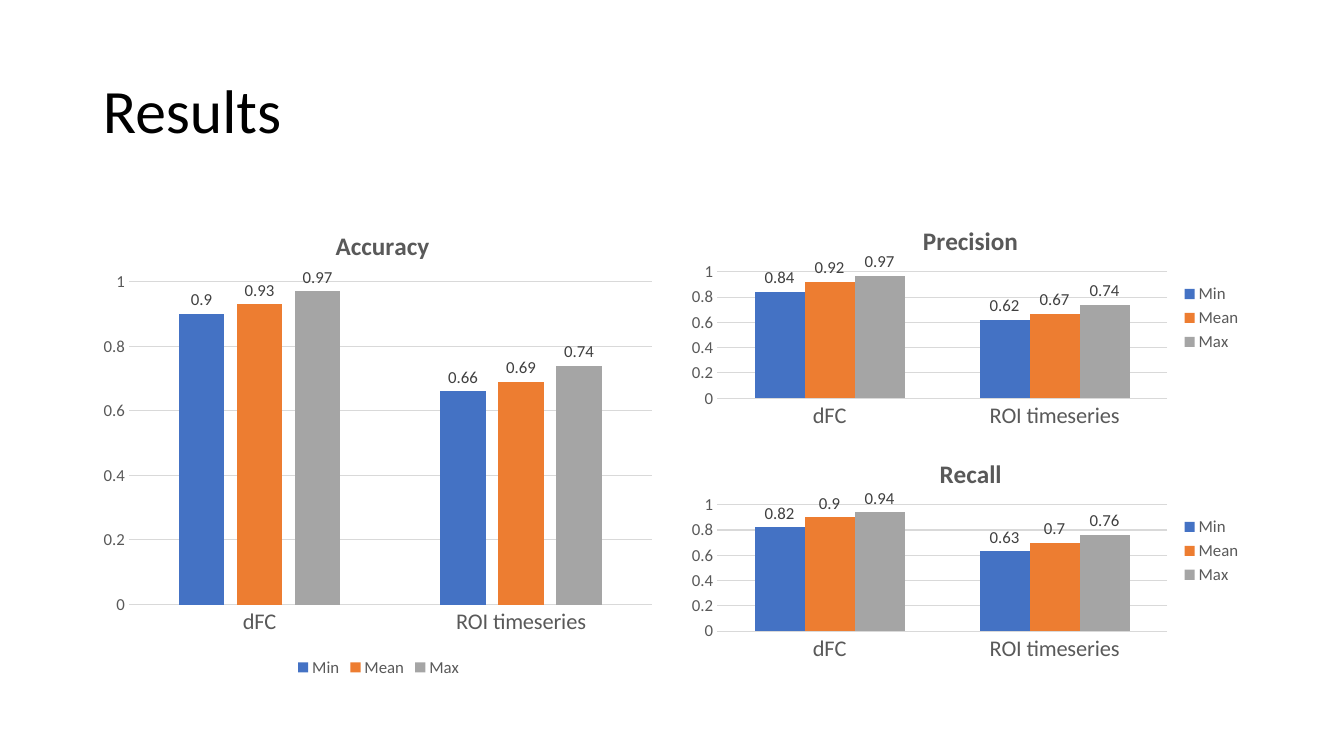
from lxml import etree
from pptx import Presentation
from pptx.chart.data import CategoryChartData
from pptx.dml.color import RGBColor
from pptx.enum.chart import (XL_CHART_TYPE, XL_LABEL_POSITION,
                             XL_LEGEND_POSITION, XL_TICK_MARK)
from pptx.enum.text import MSO_ANCHOR, PP_ALIGN
from pptx.oxml.ns import qn
from pptx.util import Inches, Pt

COLUMN_CLUSTERED = XL_CHART_TYPE.COLUMN_CLUSTERED
OUTSIDE_END = XL_LABEL_POSITION.OUTSIDE_END
LEGEND_BOTTOM = XL_LEGEND_POSITION.BOTTOM
LEGEND_RIGHT = XL_LEGEND_POSITION.RIGHT
NO_TICK = XL_TICK_MARK.NONE
MIDDLE = MSO_ANCHOR.MIDDLE
LEFT = PP_ALIGN.LEFT

FONT = "Calibri"
COLORS = {"title": "000000", "text": "595959", "label": "404040",
          "rule": "D9D9D9", "Min": "4472C4", "Mean": "ED7D31", "Max": "A5A5A5"}
CATEGORIES = ("dFC", "ROI timeseries")

SLIDE_WIDTH, SLIDE_HEIGHT = 13.33, 7.5
MARGIN, GUTTER = 0.92, 0.16
CONTENT_WIDTH = 11.5
COLUMN_WIDTH = (CONTENT_WIDTH - GUTTER) / 2
CONTENT_TOP = 2
TALL, SHORT = 4.76, 2.31
RIGHT_COLUMN = MARGIN + COLUMN_WIDTH + GUTTER

# Plot areas and title corners are shares of the chart's box.
TALL_STYLE = {"legend": LEGEND_BOTTOM, "gap": 219, "overlap": -27,
              "plot": {"x": 0.063, "y": 0.167, "w": 0.915, "h": 0.673}}
SHORT_STYLE = {"legend": LEGEND_RIGHT, "gap": 150, "overlap": 0,
               "plot": {"x": 0.064, "y": 0.302, "w": 0.787, "h": 0.543}}

CHARTS = (
    {"title": "Accuracy", "corner": {"x": 0.417, "y": 0.046},
     "box": (MARGIN, CONTENT_TOP, COLUMN_WIDTH, TALL), "style": TALL_STYLE,
     "series": {"Min": (0.9, 0.66), "Mean": (0.93, 0.69), "Max": (0.97, 0.74)}},
    {"title": "Precision", "corner": {"x": 0.416, "y": 0.075},
     "box": (RIGHT_COLUMN, CONTENT_TOP, COLUMN_WIDTH, SHORT), "style": SHORT_STYLE,
     "series": {"Min": (0.84, 0.62), "Mean": (0.92, 0.67), "Max": (0.97, 0.74)}},
    {"title": "Recall", "corner": {"x": 0.445, "y": 0.075},
     "box": (RIGHT_COLUMN, CONTENT_TOP + SHORT, COLUMN_WIDTH, SHORT),
     "style": SHORT_STYLE,
     "series": {"Min": (0.82, 0.63), "Mean": (0.9, 0.7), "Max": (0.94, 0.76)}},
)


def color(name):
    return RGBColor.from_string(COLORS[name])


def format_font(font, size, color_name, bold=False):
    font.name, font.size, font.bold = FONT, Pt(size), bold
    font.color.rgb = color(color_name)


def format_rule(line):
    line.color.rgb = color("rule")
    line.width = Pt(0.75)


def set_manual_layout(parent, index, shares, inner=False):
    """Fix a chart part at the given shares of the chart's box."""
    for old_layout in parent.findall(qn("c:layout")):
        parent.remove(old_layout)
    layout = etree.Element(qn("c:layout"))
    manual = etree.SubElement(layout, qn("c:manualLayout"))
    settings = {"layoutTarget": "inner"} if inner else {}
    settings.update({"xMode": "edge", "yMode": "edge"})
    settings.update(shares)
    for tag, value in settings.items():
        etree.SubElement(manual, qn(f"c:{tag}")).set("val", str(value))
    parent.insert(index, layout)


def add_title(slide, text, box):
    title = slide.shapes.title
    title.left, title.top, title.width, title.height = map(Inches, box)
    frame = title.text_frame
    frame.text = text
    frame.vertical_anchor = MIDDLE
    paragraph = frame.paragraphs[0]
    paragraph.alignment = LEFT
    paragraph.line_spacing = 0.9
    format_font(paragraph.runs[0].font, 44, "title")


def format_axes(chart):
    category_axis, value_axis = chart.category_axis, chart.value_axis
    for axis, size in ((category_axis, 16), (value_axis, 12)):
        axis.major_tick_mark = axis.minor_tick_mark = NO_TICK
        format_font(axis.tick_labels.font, size, "text")
    format_rule(category_axis.format.line)
    value_axis.format.line.fill.background()
    value_axis.minimum_scale, value_axis.maximum_scale = 0, 1
    value_axis.major_unit = 0.2
    format_rule(value_axis.major_gridlines.format.line)


def format_series(plot):
    for series in plot.series:
        series.format.fill.solid()
        series.format.fill.fore_color.rgb = color(series.name)
        labels = series.data_labels
        labels.show_value = True
        labels.position = OUTSIDE_END
        format_font(labels.font, 12, "label")


def add_score_chart(slide, title, corner, box, style, series):
    data = CategoryChartData()
    data.categories = CATEGORIES
    for name, values in series.items():
        data.add_series(name, values)
    chart = slide.shapes.add_chart(COLUMN_CLUSTERED, *map(Inches, box), data).chart
    format_font(chart.font, 10, "title")

    chart.has_title = True
    title_frame = chart.chart_title.text_frame
    title_frame.text = title
    format_font(title_frame.paragraphs[0].runs[0].font, 18, "text", bold=True)
    chart.chart_title.include_in_layout = False
    set_manual_layout(chart.chart_title._element, 1, corner)

    chart.has_legend = True
    chart.legend.position = style["legend"]
    chart.legend.include_in_layout = False
    format_font(chart.legend.font, 12, "text")

    plot = chart.plots[0]
    plot.vary_by_categories = False
    plot.gap_width, plot.overlap = style["gap"], style["overlap"]
    format_series(plot)
    format_axes(chart)
    plot_area = chart._chartSpace.find(f".//{qn('c:plotArea')}")
    set_manual_layout(plot_area, 0, style["plot"], inner=True)


def main():
    presentation = Presentation()
    presentation.slide_width = Inches(SLIDE_WIDTH)
    presentation.slide_height = Inches(SLIDE_HEIGHT)
    title_only = presentation.slide_layouts.get_by_name("Title Only")
    slide = presentation.slides.add_slide(title_only)
    add_title(slide, "Results", (MARGIN, 0.4, CONTENT_WIDTH, 1.45))
    for chart in CHARTS:
        add_score_chart(slide, **chart)
    presentation.save("out.pptx")


if __name__ == "__main__":
    main()
